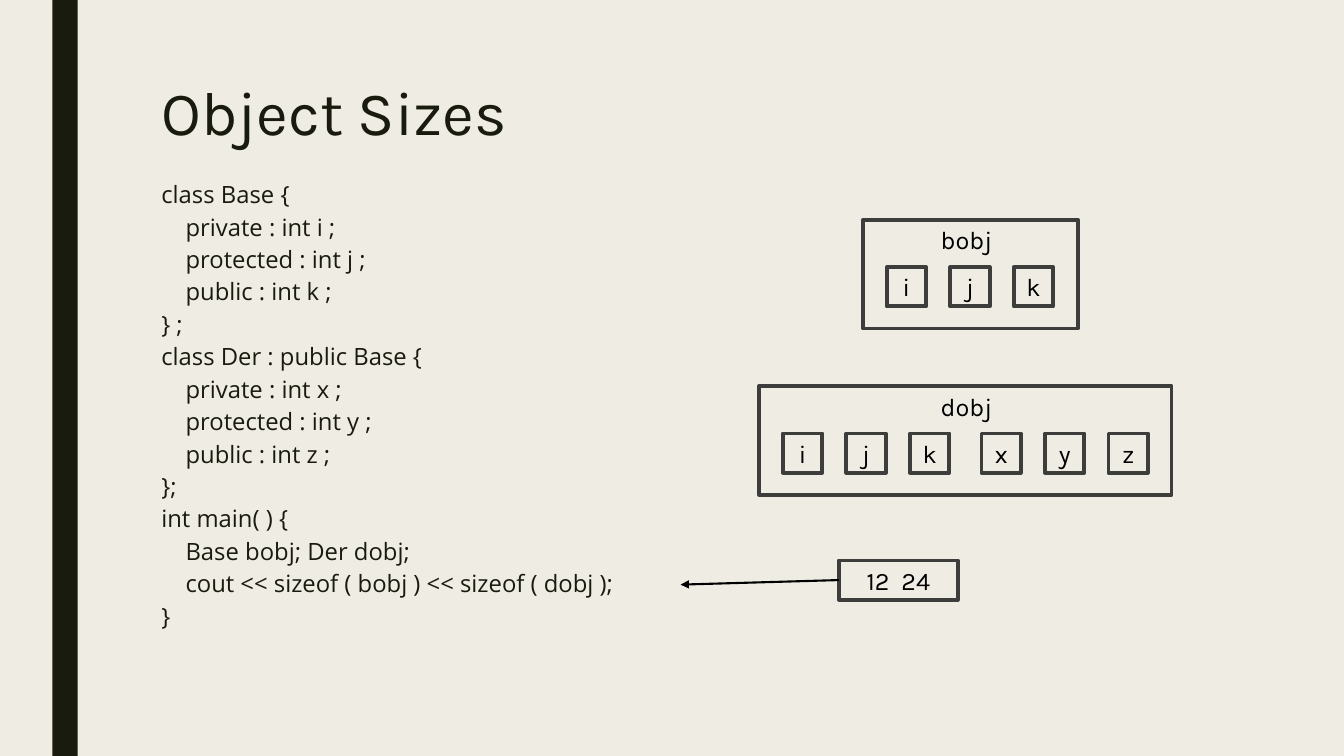
import pptx
import pptx.util
import pptx.dml.color
import pptx.enum.shapes
import pptx.enum.text
import pptx.oxml

Inches = pptx.util.Inches
Pt = pptx.util.Pt
ALIGN = pptx.enum.text.PP_ALIGN
ANCHOR = pptx.enum.text.MSO_ANCHOR
RECT = pptx.enum.shapes.MSO_SHAPE.RECTANGLE

COLORS = {"bg": "EFEDE3", "dark": "191B0E", "frame": "3D3E3B", "black": "000000"}
TITLE_FONT = {"name": "Karla", "size": Pt(44), "bold": False}
CODE_FONT = {"name": "Open Sans", "size": Pt(17)}
LABEL_FONT = {"name": "Karla", "size": Pt(18)}
CODE_PARA = {"line_spacing": 0.84, "space_before": Pt(4), "space_after": Pt(2)}
CELL, CELL_STEP, CELL_INSET, GROUP_GAP = 0.39, 0.63, 0.235, 0.08
CODE = [
    (0, "class Base {"),
    (1, "private : int i ;"),
    (1, "protected : int j ;"),
    (1, "public : int k ;"),
    (0, "} ;"),
    (0, "class Der : public Base {"),
    (1, "private : int x ;"),
    (1, "protected : int y ;"),
    (1, "public : int z ;"),
    (0, "};"),
    (0, "int main( ) {"),
    (1, "Base bobj; Der dobj;"),
    (1, "cout << sizeof ( bobj ) << sizeof ( dobj );"),
    (0, "}"),
]


def rgb(key):
    """Return a named colour."""
    return pptx.dml.color.RGBColor.from_string(COLORS[key])


def apply(obj, values):
    """Set attributes from a dict of values."""
    for name, value in values.items():
        setattr(obj, name, value)


def place(sp, box):
    """Move a shape to a box given in inches."""
    apply(sp, dict(zip(("left", "top", "width", "height"), map(Inches, box))))


def add_text(p, text, font, color):
    """Add one formatted run to a paragraph."""
    r = p.add_run()
    r.text = text
    apply(r.font, font)
    r.font.color.rgb = rgb(color)


def add_frame(s, box, text=""):
    """Draw an outlined box with centred text."""
    sp = s.shapes.add_shape(RECT, *map(Inches, box))
    sp.shadow.inherit = False
    sp.fill.background()
    sp.line.color.rgb = rgb("frame")
    sp.line.width = Pt(2.75)
    tf = sp.text_frame
    apply(tf, {"margin_left": 0, "margin_right": 0, "vertical_anchor": ANCHOR.MIDDLE})
    p = tf.paragraphs[0]
    p.alignment = ALIGN.CENTER
    if text:
        add_text(p, text, LABEL_FONT, "black")


def add_backdrop(s, box):
    """Fill the background and draw the side bar."""
    s.background.fill.solid()
    s.background.fill.fore_color.rgb = rgb("bg")
    sp = s.shapes.add_shape(RECT, *map(Inches, box))
    sp.shadow.inherit = False
    sp.fill.solid()
    sp.fill.fore_color.rgb = rgb("dark")
    sp.line.fill.background()


def add_title(s, box, text):
    """Fill the title placeholder."""
    sp = s.shapes.title
    place(sp, box)
    tf = sp.text_frame
    apply(tf, {"vertical_anchor": ANCHOR.MIDDLE, "word_wrap": True})
    p = tf.paragraphs[0]
    apply(p, {"alignment": ALIGN.LEFT, "line_spacing": 0.89})
    add_text(p, text, TITLE_FONT, "dark")


def add_code(s, box, lines):
    """Fill the body placeholder with indented code lines."""
    sp = s.placeholders[1]
    place(sp, box)
    tf = sp.text_frame
    tf.word_wrap = True
    for i, (depth, text) in enumerate(lines):
        p = tf.add_paragraph() if i else tf.paragraphs[0]
        apply(p, CODE_PARA)
        pPr = p._p.get_or_add_pPr()
        pPr.set("marL", str(Inches(0.24 * depth)))
        pPr.set("indent", "0")
        pPr.append(pptx.oxml.parse_xml(
            '<a:buNone xmlns:a="http://schemas.openxmlformats.org/drawingml/2006/main"/>'))
        add_text(p, text, CODE_FONT, "dark")


def add_object(s, box, name, groups):
    """Draw an object frame with its name and groups of member cells."""
    left, top, _, _ = box
    add_frame(s, box)
    sp = s.shapes.add_textbox(*map(Inches, (9.19, top, 0.79, 0.4)))
    tf = sp.text_frame
    tf.word_wrap = True
    p = tf.paragraphs[0]
    p.alignment = ALIGN.CENTER
    add_text(p, name, LABEL_FONT, "black")
    for g, members in enumerate(groups):
        for i, member in enumerate(members, g * len(members)):
            x = left + CELL_INSET + i * CELL_STEP + g * GROUP_GAP
            add_frame(s, (x, top + 0.47, CELL, CELL), member)


def add_output(s, box, text, target):
    """Draw the output box and its arrow to the code."""
    left, top, _, height = box
    add_frame(s, box, text)
    ends = (left, top + height / 2, *target)
    c = s.shapes.add_connector(
        pptx.enum.shapes.MSO_CONNECTOR.STRAIGHT, *map(Inches, ends))
    c.line.color.rgb = rgb("black")
    c.line.width = Pt(1.5)
    ns = 'xmlns:a="http://schemas.openxmlformats.org/drawingml/2006/main"'
    c.line._get_or_add_ln().append(
        pptx.oxml.parse_xml(f'<a:tailEnd {ns} type="triangle"/>'))
    c._element.spPr.append(pptx.oxml.parse_xml(f"<a:effectLst {ns}/>"))


def main():
    """Build the slide and save it."""
    prs = pptx.Presentation()
    prs.slide_width, prs.slide_height = Inches(13.33), Inches(7.5)
    s = prs.slides.add_slide(prs.slide_layouts[1])
    add_backdrop(s, (0.52, 0, 0.25, 7.5))
    add_title(s, (1.5, 0.75, 10.5, 0.8), "Object Sizes")
    add_code(s, (1.5, 1.78, 5.25, 4.64), CODE)
    add_object(s, (8.56, 2.18, 2.13, 1.08), "bobj", ["ijk"])
    add_object(s, (7.53, 3.83, 4.09, 1.08), "dobj", ["ijk", "xyz"])
    add_output(s, (8.32, 5.56, 1.18, 0.39), "12  24", (6.75, 5.8))
    prs.save("out.pptx")


if __name__ == "__main__":
    main()
